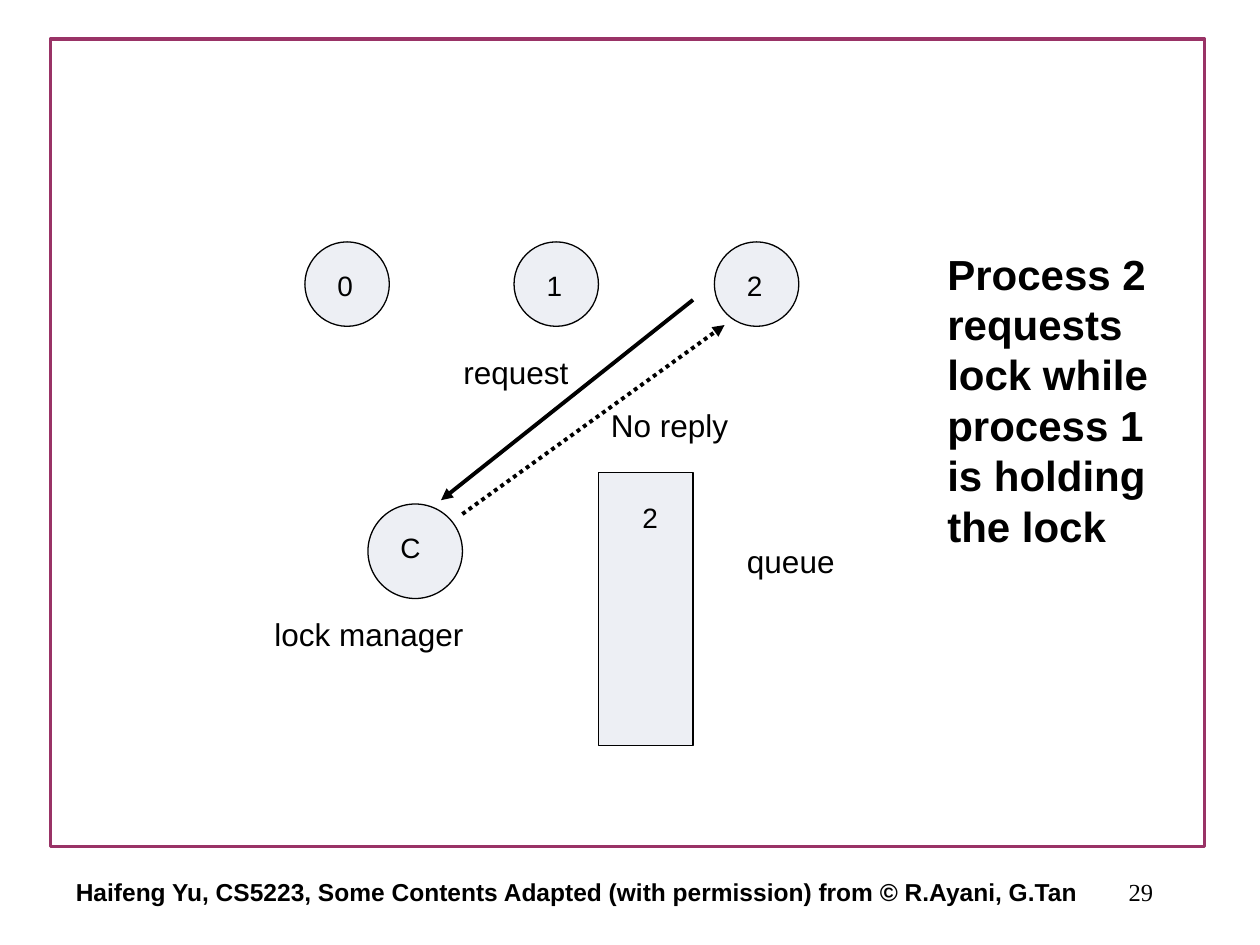
from lxml.etree import SubElement
from pptx import Presentation
from pptx.dml.color import RGBColor
from pptx.enum.dml import MSO_LINE
from pptx.enum.shapes import MSO_CONNECTOR, MSO_SHAPE
from pptx.enum.text import MSO_ANCHOR, PP_ALIGN
from pptx.oxml.ns import qn
from pptx.util import Inches, Pt

# Content: lengths in inches, text sizes in points
BLACK, BORDER, PALE = "000000", "993366", "DDE1EB"

FRAME = (0.4, 0.31, 9.16, 6.41)
QUEUE = (4.75, 3.75, 0.75, 2.17)
NODES = [  # label, left, top, diameter
    ("0", 2.42, 1.92, 0.67),
    ("1", 4.08, 1.92, 0.67),
    ("2", 5.67, 1.92, 0.67),
    ("C", 2.92, 4, 0.75),
]
NODE_LABEL_OFFSET = 0.16
LABELS = [  # text, box, size, bold
    ("queue", (5.83, 4.25, 1.08, 0.4), 18, False),
    ("lock manager", (2.08, 4.83, 2, 0.4), 18, False),
    ("request", (3.58, 2.75, 2, 0.4), 18, False),
    ("No reply", (4.75, 3.17, 2, 0.4), 18, False),
    ("2", (5, 3.92, 0.33, 0.37), 16, False),
    ("Process 2 requests lock while process 1 is holding the lock",
     (7.42, 1.92, 1.92, 2.5), 24, True),
]
ARROWS = [  # start, end, dash
    ((5.5, 2.38), (3.5, 3.97), None),
    ((3.67, 4.08), (5.75, 2.58), MSO_LINE.ROUND_DOT),
]
FOOTER = "Haifeng Yu, CS5223, Some Contents Adapted (with permission) from © R.Ayani, G.Tan"
PAGE_NUMBER = "29"


def color(hex_code):
    return RGBColor.from_string(hex_code)


def add_outline(s, kind, box, line=BLACK, width=0.75, fill=None):
    sp = s.shapes.add_shape(kind, *map(Inches, box))
    sp.shadow.inherit = False
    sp.line.color.rgb = color(line)
    sp.line.width = Pt(width)
    if fill is None:
        sp.fill.background()
    else:
        sp.fill.solid()
        sp.fill.fore_color.rgb = color(fill)
        srgb = sp.fill._xPr.find(qn("a:solidFill")).find(qn("a:srgbClr"))
        SubElement(srgb, qn("a:alpha"), val="50000")


def add_text(s, text, box, size, bold=False, font="Arial",
             align=PP_ALIGN.LEFT, anchor=MSO_ANCHOR.TOP, wrap=True):
    tf = s.shapes.add_textbox(*map(Inches, box)).text_frame
    tf.word_wrap = wrap
    tf.vertical_anchor = anchor
    p = tf.paragraphs[0]
    p.alignment = align
    r = p.add_run()
    r.text = text
    r.font.name = font
    r.font.size = Pt(size)
    r.font.bold = bold
    r.font.color.rgb = color(BLACK)


def add_arrow(s, start, end, dash):
    cx = s.shapes.add_connector(MSO_CONNECTOR.STRAIGHT, *map(Inches, start + end))
    cx.line.color.rgb = color(BLACK)
    cx.line.width = Pt(2.25)
    if dash is not None:
        cx.line.dash_style = dash
    SubElement(cx.line._get_or_add_ln(), qn("a:tailEnd"), type="triangle")
    SubElement(cx._element.spPr, qn("a:effectLst"))


def main():
    prs = Presentation()
    prs.slide_width, prs.slide_height = Inches(10), Inches(7.5)
    s = prs.slides.add_slide(prs.slide_layouts[6])

    # Frame, page number and footer
    add_outline(s, MSO_SHAPE.RECTANGLE, FRAME, BORDER, 2)
    add_text(s, PAGE_NUMBER, (7.17, 6.83, 2.08, 0.5), 14, font="Times New Roman",
             align=PP_ALIGN.RIGHT, anchor=MSO_ANCHOR.MIDDLE, wrap=False)
    add_text(s, FOOTER, (0.33, 6.83, 8.5, 0.5), 14, bold=True,
             align=PP_ALIGN.CENTER, anchor=MSO_ANCHOR.MIDDLE, wrap=False)

    # Processes and lock manager
    for label, left, top, size in NODES:
        add_outline(s, MSO_SHAPE.OVAL, (left, top, size, size), fill=PALE)
        add_text(s, label, (left + NODE_LABEL_OFFSET, top + NODE_LABEL_OFFSET,
                            0.33, 0.37), 16)

    # Queue, messages and labels
    add_outline(s, MSO_SHAPE.RECTANGLE, QUEUE, fill=PALE)
    for start, end, dash in ARROWS:
        add_arrow(s, start, end, dash)
    for text, box, size, bold in LABELS:
        add_text(s, text, box, size, bold)

    prs.save("out.pptx")


if __name__ == "__main__":
    main()
